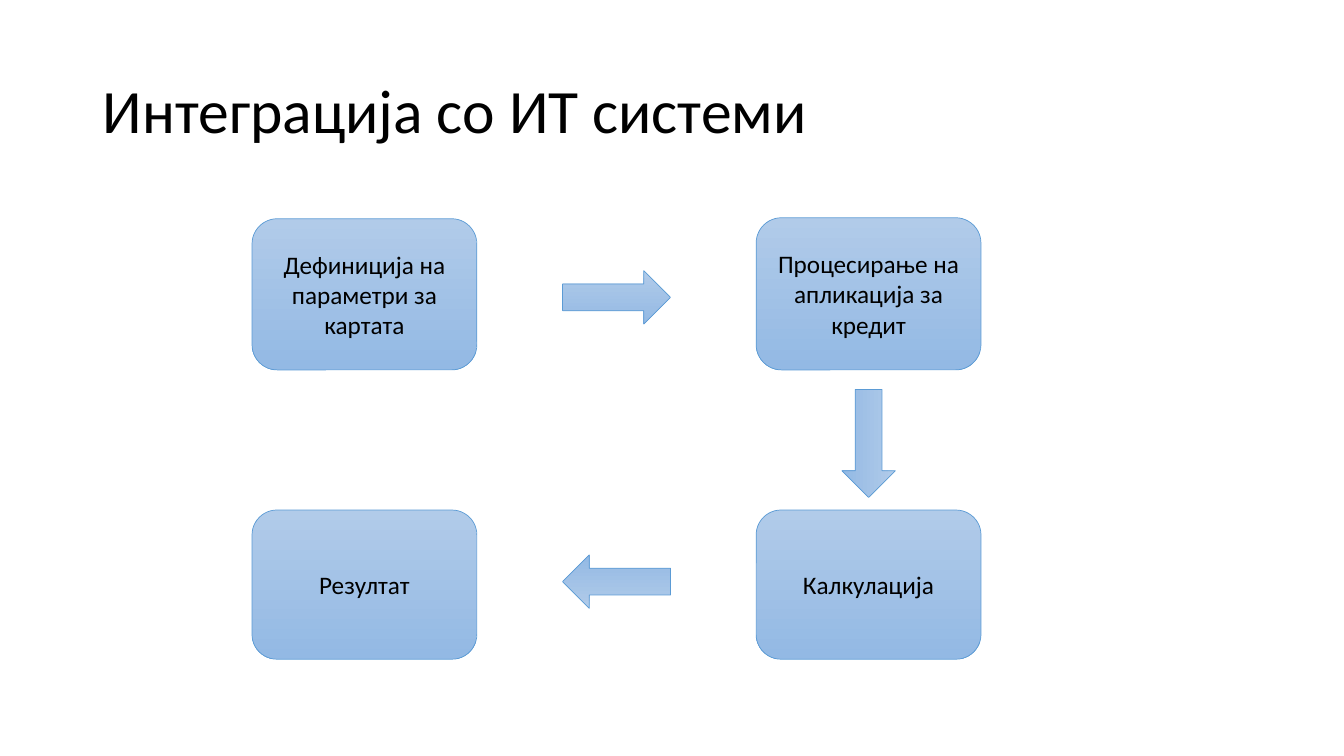
from pptx import Presentation, util as u
from pptx.dml.color import RGBColor
from pptx.enum import shapes, text

FONT = "Calibri"
BLACK, TOP, BASE, EDGE = "000000", "B1CBE9", "93B9E4", "5B9BD5"
LEFT, RIGHT, WIDE = 2.5, 7.5, 2.23
ARROW = 1.07, 0.53


def color(code):
    return RGBColor.from_string(code)


def write(frame, words, size, align):
    frame.word_wrap = True
    frame.vertical_anchor = text.MSO_ANCHOR.MIDDLE
    para = frame.paragraphs[0]
    para.alignment = align
    for i, line in enumerate(words.split("\n")):
        if i:
            para.add_line_break()
        run = para.add_run()
        run.text = line
        run.font.name = FONT
        run.font.size = u.Pt(size)
        run.font.color.rgb = color(BLACK)
    return para


def title(slide, box, words):
    frame = slide.shapes.add_textbox(*map(u.Inches, box)).text_frame
    para = write(frame, words, 44, text.PP_ALIGN.LEFT)
    para.line_spacing = 0.9


def block(slide, kind, box):
    shape = slide.shapes.add_shape(kind, *map(u.Inches, box))
    shape.shadow.inherit = False
    shape.fill.gradient()
    shape.fill.gradient_angle = 270
    for stop, code, place in zip(shape.fill.gradient_stops, (TOP, BASE), (0, 1)):
        stop.color.rgb = color(code)
        stop.position = place
    shape.line.color.rgb = color(EDGE)
    shape.line.width = u.Pt(0.5)
    return shape


def step(slide, box, words):
    shape = block(slide, shapes.MSO_SHAPE.ROUNDED_RECTANGLE, box)
    write(shape.text_frame, words, 18, text.PP_ALIGN.CENTER)


def arrow(slide, mid, turn):
    wide, high = ARROW
    box = mid[0] - wide / 2, mid[1] - high / 2, wide, high
    block(slide, shapes.MSO_SHAPE.RIGHT_ARROW, box).rotation = turn


def flow(slide):
    steps = (
        (LEFT, 2.17, 1.5, "Дефиниција на параметри за картата"),
        (RIGHT, 2.16, 1.51, "Процесирање на\nапликација за кредит"),
        (RIGHT, 5.06, 1.48, "Калкулација"),
        (LEFT, 5.06, 1.48, "Резултат"),
    )
    for x, y, high, words in steps:
        step(slide, (x, y, WIDE, high), words)
    mid = (LEFT + RIGHT + WIDE) / 2
    arrow(slide, (mid, 2.95), 0)
    arrow(slide, (RIGHT + WIDE / 2, 4.4), 90)
    arrow(slide, (mid, 5.77), 180)


def main():
    deck = Presentation()
    deck.slide_width, deck.slide_height = u.Inches(13.33), u.Inches(7.5)
    slide = deck.slides.add_slide(deck.slide_layouts[6])
    title(slide, (0.92, 0.4, 11.5, 1.45), "Интеграција со ИТ системи")
    flow(slide)
    deck.save("out.pptx")


if __name__ == "__main__":
    main()
